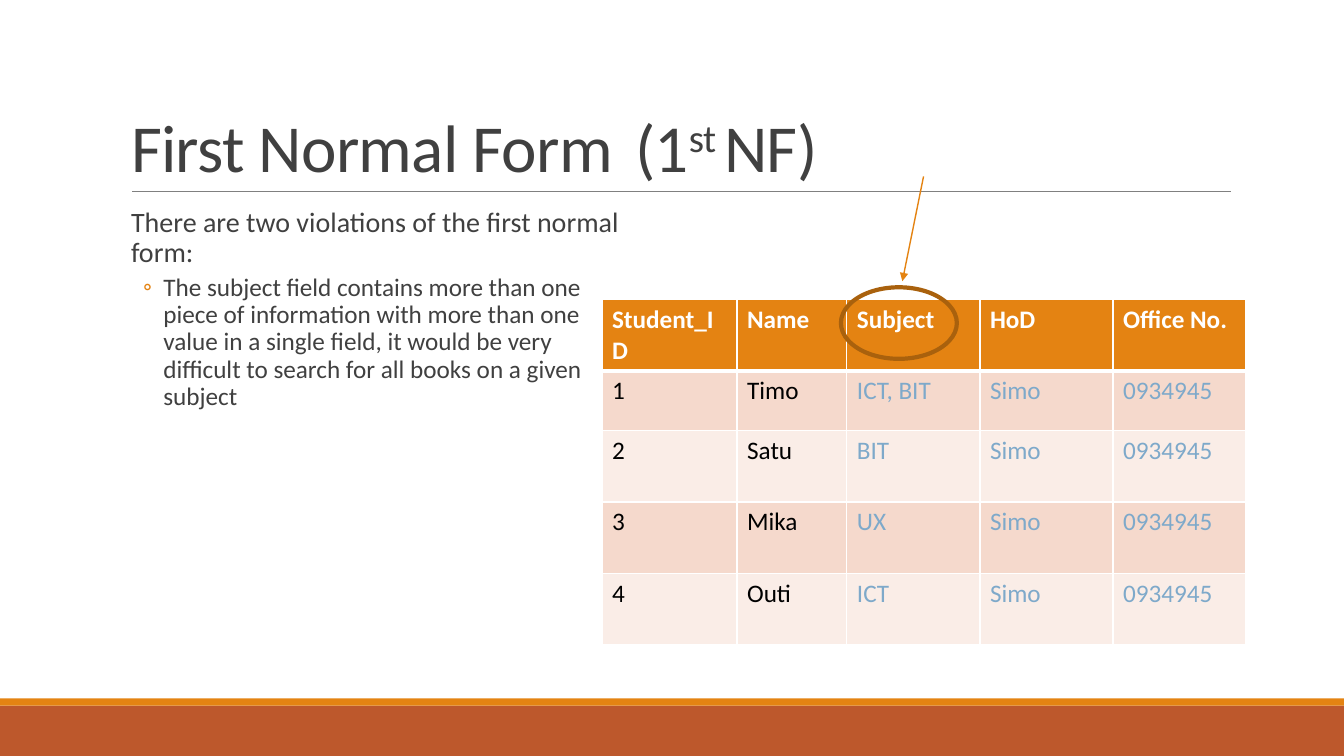
from lxml import etree
from pptx import Presentation
from pptx.dml.color import RGBColor
from pptx.enum.shapes import MSO_CONNECTOR, MSO_SHAPE
from pptx.enum.text import MSO_ANCHOR, MSO_AUTO_SIZE, PP_ALIGN
from pptx.oxml.ns import qn
from pptx.util import Inches, Pt

STRAIGHT = MSO_CONNECTOR.STRAIGHT
RECTANGLE, OVAL = MSO_SHAPE.RECTANGLE, MSO_SHAPE.OVAL
BOTTOM, TOP = MSO_ANCHOR.BOTTOM, MSO_ANCHOR.TOP
NO_AUTOFIT, LEFT = MSO_AUTO_SIZE.NONE, PP_ALIGN.LEFT

COLORS = {
    "orange": "E48312", "rust": "BD582C", "brown": "A9610D",
    "gray": "808080", "text": "404040", "black": "000000",
    "white": "FFFFFF", "blue": "7EA9CA",
    "odd_row": "F5D9CC", "even_row": "FAEDE7",
}


class SlideBuilder:
    font = "Calibri"

    def __init__(self, slide):
        self.slide = slide

    def color(self, name):
        return RGBColor.from_string(COLORS[name])

    def box(self, left, top, width, height):
        return [Inches(v) for v in (left, top, width, height)]

    def run(self, paragraph, text, size, color, bold=False):
        run = paragraph.add_run()
        run.text = text
        run.font.name = self.font
        run.font.size = Pt(size)
        run.font.bold = bold
        run.font.color.rgb = self.color(color)
        return run

    def shape(self, kind, bounds, fill=None, line=None, width=1):
        shape = self.slide.shapes.add_shape(kind, *self.box(*bounds))
        shape.shadow.inherit = False
        if fill:
            shape.fill.solid()
            shape.fill.fore_color.rgb = self.color(fill)
        else:
            shape.fill.background()
        if line:
            shape.line.color.rgb = self.color(line)
            shape.line.width = Pt(width)
        else:
            shape.line.fill.background()

    def line(self, start, end, color, width, arrow=False):
        points = [Inches(v) for v in start + end]
        connector = self.slide.shapes.add_connector(STRAIGHT, *points)
        connector.line.color.rgb = self.color(color)
        connector.line.width = Pt(width)
        if arrow:
            etree.SubElement(connector.line._get_or_add_ln(), qn("a:tailEnd"), type="triangle")
        etree.SubElement(connector._element.spPr, qn("a:effectLst"))

    def title(self, bounds, parts):
        title = self.slide.shapes.title
        title.left, title.top, title.width, title.height = self.box(*bounds)
        frame = title.text_frame
        frame.word_wrap = True
        frame.auto_size = NO_AUTOFIT
        frame.vertical_anchor = BOTTOM
        heading = frame.paragraphs[0]
        heading.alignment = LEFT
        heading.line_spacing = 0.85
        for text, baseline in parts:
            properties = self.run(heading, text, 48, "text").font._element
            properties.set("spc", "-50")
            if baseline:
                properties.set("baseline", str(baseline * 1000))

    def text(self, bounds):
        frame = self.slide.shapes.add_textbox(*self.box(*bounds)).text_frame
        frame.word_wrap = True
        frame.vertical_anchor = TOP
        frame.margin_left = frame.margin_right = 0
        return frame

    def paragraph(self, paragraph, text, size, before, after, margin, hanging=0, bullet=None):
        paragraph.line_spacing = 0.9
        paragraph.space_before, paragraph.space_after = Pt(before), Pt(after)
        properties = paragraph._p.get_or_add_pPr()
        properties.set("marL", str(Inches(margin)))
        properties.set("indent", str(-Inches(hanging)))
        if bullet:
            bullet_color = etree.SubElement(properties, qn("a:buClr"))
            etree.SubElement(bullet_color, qn("a:srgbClr"), val=COLORS["orange"])
            etree.SubElement(properties, qn("a:buFont"), typeface=self.font)
            etree.SubElement(properties, qn("a:buChar"), char=bullet)
        self.run(paragraph, text, size, "text")

    def cell(self, cell, text, fill, color, bold, bottom):
        self.run(cell.text_frame.paragraphs[0], text, 18, color, bold)
        properties = cell._tc.get_or_add_tcPr()
        for side, width in (("L", 1), ("R", 1), ("T", 1), ("B", bottom)):
            border = etree.SubElement(properties, qn(f"a:ln{side}"), w=str(Pt(width)))
            solid = etree.SubElement(border, qn("a:solidFill"))
            etree.SubElement(solid, qn("a:srgbClr"), val=COLORS["white"])
        cell.fill.solid()
        cell.fill.fore_color.rgb = self.color(fill)

    def table(self, left, top, columns, heights, records):
        bounds = self.box(left, top, sum(columns), sum(heights))
        table = self.slide.shapes.add_table(len(heights), len(columns), *bounds).table
        for column, width in zip(table.columns, columns):
            column.width = Inches(width)
        for r, (height, record) in enumerate(zip(heights, records)):
            table.rows[r].height = Inches(height)
            header = r == 0
            fill = "orange" if header else "odd_row" if r % 2 else "even_row"
            for c, text in enumerate(record):
                color = "white" if header else "black" if c < 2 else "blue"
                # The rule under the header is heavier, on both sides of the edge
                self.cell(table.cell(r, c), text, fill, color, header, 3 if header else 1)
                if r == 1:
                    top_border = table.cell(r, c)._tc.tcPr.find(qn("a:lnT"))
                    top_border.set("w", str(Pt(3)))


def main():
    prs = Presentation()
    prs.slide_width, prs.slide_height = Inches(13.33), Inches(7.5)
    builder = SlideBuilder(prs.slides.add_slide(prs.slide_layouts[5]))

    # Footer bands and title rule
    builder.shape(RECTANGLE, (0, 7, 13.33, 0.5), fill="rust")
    builder.shape(RECTANGLE, (0, 6.93, 13.33, 0.07), fill="orange")
    builder.line((1.31, 1.9), (12.21, 1.9), "gray", 0.5)

    # Title
    builder.title((1.2, 0.31, 11, 1.59),
                  [("First Normal Form\t(1", 0), ("st ", 30), ("NF)", 0)])

    # Explanation
    explanation = builder.text((1.2, 2.02, 5.03, 4.4))
    builder.paragraph(explanation.paragraphs[0],
                      "There are two violations of the first normal form:",
                      20, before=12, after=2, margin=0.1)
    builder.paragraph(explanation.add_paragraph(),
                      "The subject field contains more than one piece of information "
                      "with more than one value in a single field, it would be very "
                      "difficult to search for all books on a given subject",
                      18, before=2, after=4, margin=0.42, hanging=0.2, bullet="◦")

    # Student table
    students = [("Timo", "ICT, BIT"), ("Satu", "BIT"), ("Mika", "UX"), ("Outi", "ICT")]
    records = [("Student_ID", "Name", "Subject", "HoD", "Office No.")]
    records += [(str(number), name, subject, "Simo", "0934945")
                for number, (name, subject) in enumerate(students, 1)]
    builder.table(5.97, 2.97, [1.34, 1.09] + [1.32] * 3,
                  [0.71, 0.59] + [0.71] * 3, records)

    # Highlight on the Subject column
    builder.line((9.16, 1.75), (8.95, 2.79), "orange", 1, arrow=True)
    builder.shape(OVAL, (8.34, 2.85, 1.15, 0.71), line="brown", width=3)

    prs.save("out.pptx")


if __name__ == "__main__":
    main()
